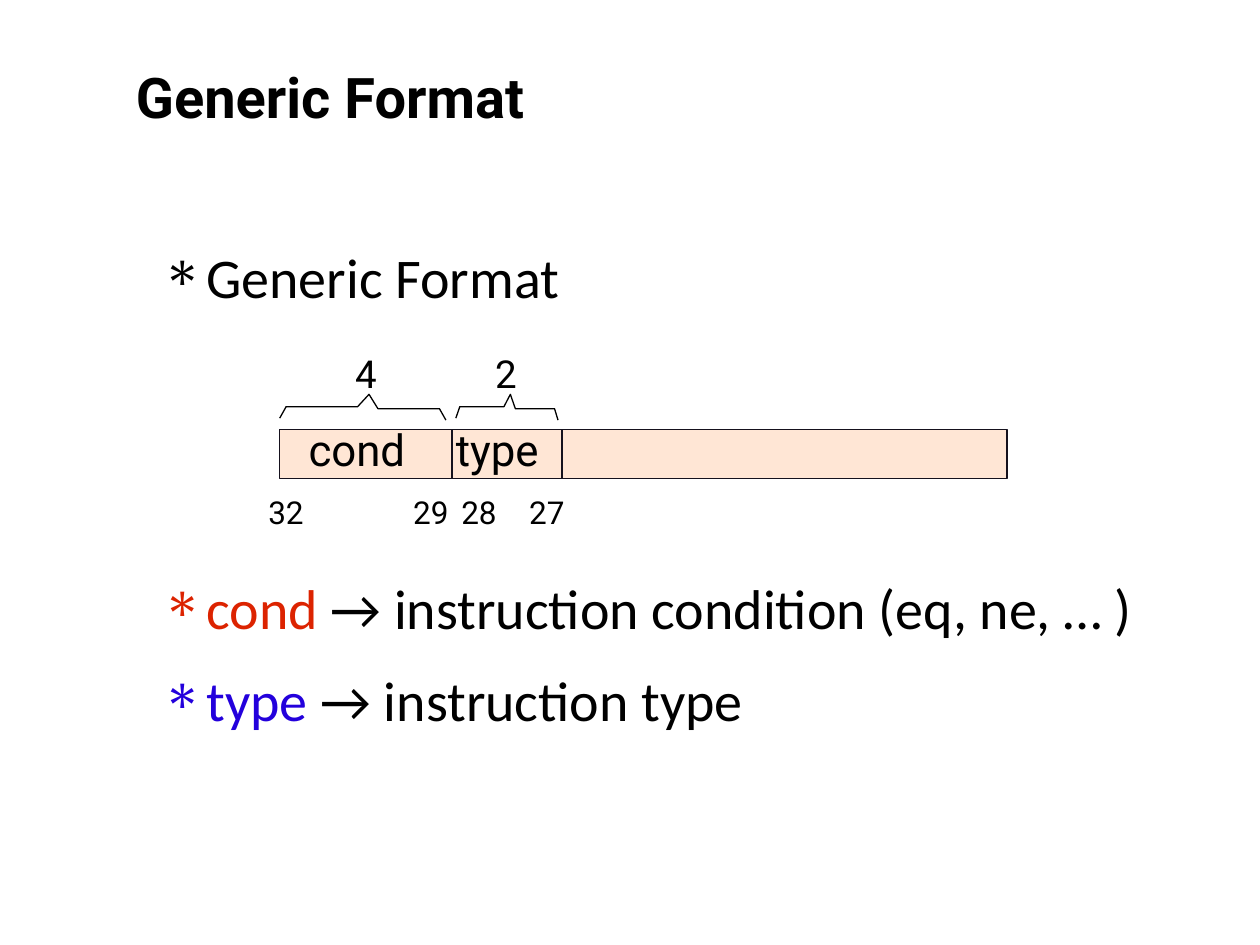
from lxml import etree
from pptx import Presentation
from pptx.dml.color import RGBColor
from pptx.enum.shapes import MSO_SHAPE
from pptx.enum.text import MSO_ANCHOR, MSO_AUTO_SIZE, PP_ALIGN
from pptx.oxml.ns import qn
from pptx.util import Cm, Pt

RECT = MSO_SHAPE.RECTANGLE
MIDDLE = MSO_ANCHOR.MIDDLE
FIXED = MSO_AUTO_SIZE.NONE
GROW = MSO_AUTO_SIZE.SHAPE_TO_FIT_TEXT
LEFT = PP_ALIGN.LEFT

COLORS = {"ink": "000000", "field": "FFE6D5", "edge": "15111D",
          "cond": "DC2300", "type": "2300DC"}


class Page:
    head, body = "Roboto", "Calibri"

    def __init__(self, deck):
        self.slide = deck.slides.add_slide(deck.slide_layouts[5])
        self.shapes = self.slide.shapes

    def color(self, name):
        return RGBColor.from_string(COLORS[name])

    def place(self, shape, x, y, w, h):
        shape.left, shape.top, shape.width, shape.height = map(Cm, (x, y, w, h))

    def frame(self, shape, wrap, fit):
        frame = shape.text_frame
        frame.margin_left = frame.margin_right = 0
        frame.margin_top = frame.margin_bottom = 0
        frame.word_wrap, frame.auto_size = wrap, fit
        return frame

    def font(self, para, name, size, color=None, bold=False):
        para.font.name, para.font.size, para.font.bold = name, Pt(size), bold
        if color:
            para.font.color.rgb = self.color(color)

    def title(self, text, *box):
        shape = self.shapes.title
        self.place(shape, *box)
        frame = self.frame(shape, True, FIXED)
        frame.vertical_anchor = MIDDLE
        frame.text = text
        para = frame.paragraphs[0]
        para.alignment = LEFT
        self.font(para, self.head, 32, "ink", True)

    def bullets(self, items, *box):
        """Each item is a list of (text, color) runs."""
        shape = self.shapes.add_textbox(*map(Cm, box))
        frame = self.frame(shape, True, FIXED)
        for i, runs in enumerate(items):
            para = frame.add_paragraph() if i else frame.paragraphs[0]
            para.space_after = Pt(14.1)
            self.font(para, self.body, 32)
            for text, color in runs:
                run = para.add_run()
                run.text = text
                run.font.color.rgb = self.color(color)
            props = para._p.get_or_add_pPr()
            props.set("marL", str(Cm(1.19)))
            props.set("indent", str(-Cm(0.89)))
            mark = etree.Element(qn("a:buChar"), char="∗")
            props.find(qn("a:spcAft")).addnext(mark)

    def label(self, text, size, *box):
        shape = self.shapes.add_textbox(*map(Cm, box))
        frame = self.frame(shape, False, GROW)
        frame.text = text
        self.font(frame.paragraphs[0], self.head, size, "ink")

    def line(self, shape, color):
        shape.shadow.inherit = False
        shape.line.color.rgb = self.color(color)
        shape.line.width = Pt(0)

    def field(self, *box):
        shape = self.shapes.add_shape(RECT, *map(Cm, box))
        shape.fill.solid()
        shape.fill.fore_color.rgb = self.color("field")
        self.line(shape, "edge")

    def brace(self, xs, ys):
        points = [(Cm(x), Cm(y)) for x, y in zip(xs, ys)]
        path = self.shapes.build_freeform(*points[0])
        path.add_line_segments(points[1:], close=False)
        shape = path.convert_to_shape()
        shape.fill.background()
        self.line(shape, "black" if "black" in COLORS else "ink")


def main():
    deck = Presentation()
    deck.slide_width, deck.slide_height = Cm(25.4), Cm(19.05)
    page = Page(deck)

    # Title and bullets
    page.title("Generic Format", 2.74, 0.64, 20.6, 2.59)
    page.bullets([[("Generic Format", "ink")]], 2.97, 4.88, 20.6, 1.75)
    page.bullets([
        [("cond", "cond"), (" → instruction condition (eq, ne, … )", "ink")],
        [("type", "type"), (" → instruction type", "ink")],
    ], 2.97, 11.56, 20.6, 3.25)

    # Instruction word, split into fields
    edges = [5.64, 9.11, 11.33, 20.3]
    for x, end in zip(edges, edges[1:]):
        page.field(x, 8.66, end - x, 0.99)
    page.label("cond", 25, 6.22, 8.53, 2.36, 1.22)
    page.label("type", 25, 9.19, 8.53, 2.11, 1.22)

    # Bit numbers
    for bit, x in (("32", 5.41), ("29", 8.33), ("28", 9.3), ("27", 10.67)):
        page.label(bit, 18, x, 9.93, 0.97, 0.86)

    # Braces with field widths
    ys = [8.43, 8.2, 8.2, 7.95, 8.24, 8.24, 8.47]
    page.brace([5.64, 5.77, 7.21, 7.44, 7.62, 8.86, 8.99], ys)
    page.brace([9.19, 9.27, 10.16, 10.29, 10.39, 11.18, 11.25], ys)
    for bits, x in (("4", 7.16), ("2", 9.98)):
        page.label(bits, 22, x, 7.05, 0.76, 1.02)

    deck.save("out.pptx")


if __name__ == "__main__":
    main()
